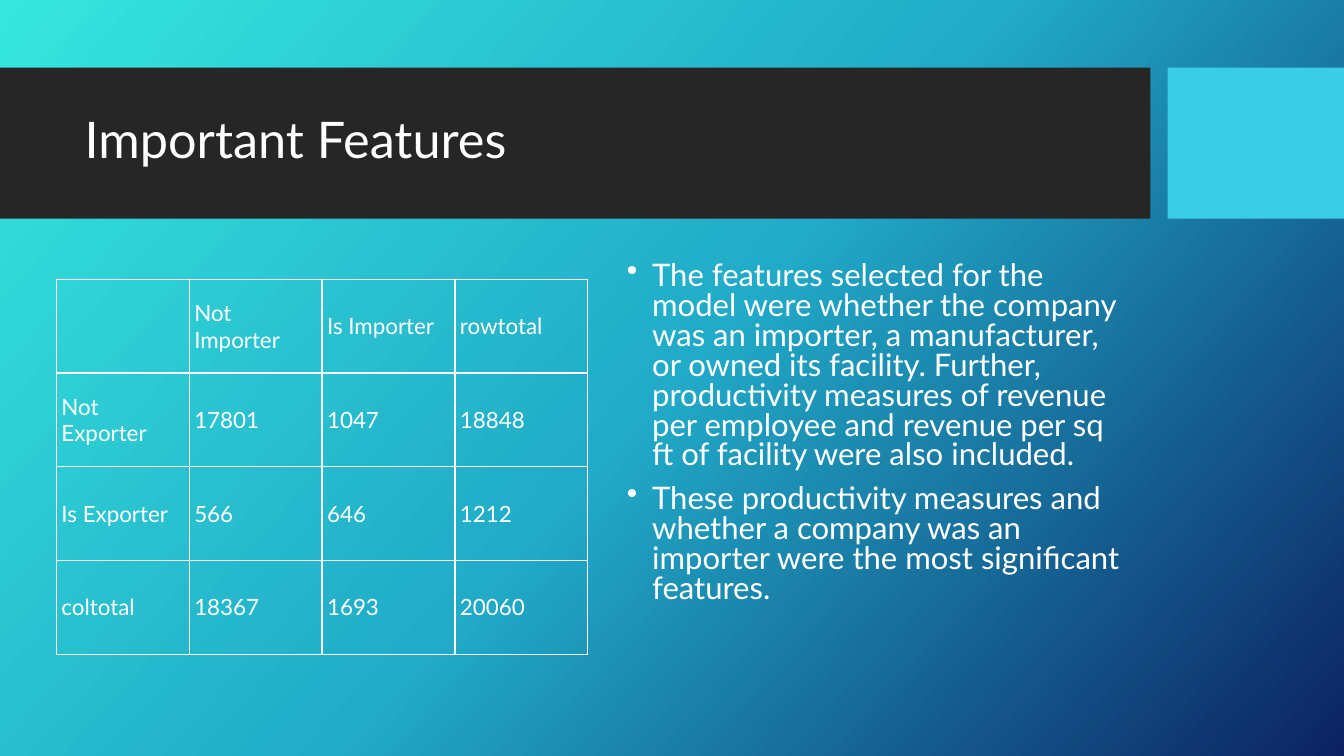
"""Build the Important Features slide with a cross table and two findings."""
import copy

import pptx
import pptx.dml.color
import pptx.enum.shapes
import pptx.enum.text
import pptx.oxml
import pptx.oxml.ns
import pptx.util

Inches = pptx.util.Inches
Pt = pptx.util.Pt
MIDDLE = pptx.enum.text.MSO_ANCHOR.MIDDLE

FONT = "Lato"
COLOURS = {"text": "FFFFFF", "band": "262626", "accent": "39CDE7"}
BACKGROUND_STOPS = [(0, "36E6DD"), (0.5, "21ABC8"), (1, "0C2263")]
COUNTS = [
    ["", "Not Importer", "Is Importer", "rowtotal"],
    ["Not Exporter", "17801", "1047", "18848"],
    ["Is Exporter", "566", "646", "1212"],
    ["coltotal", "18367", "1693", "20060"],
]
FINDINGS = [
    "The features selected for the model were whether the company was an importer, "
    "a manufacturer, or owned its facility. Further, productivity measures of revenue "
    "per employee and revenue per sq ft of facility were also included.",
    "These productivity measures and whether a company was an importer were the most "
    "significant features.",
]


def rgb(value):
    """Return the colour for a hex string."""
    return pptx.dml.color.RGBColor.from_string(value)


def format_runs(para, size):
    """Give every run of a paragraph the slide's font, colour and a size."""
    for span in para.runs:
        span.font.name = FONT
        span.font.size = Pt(size)
        span.font.color.rgb = rgb(COLOURS["text"])


def paint_background(slide):
    """Fill the background with the three-stop diagonal gradient."""
    fill = slide.background.fill
    fill.gradient()
    fill.gradient_angle = 360 - 42
    stop_list = slide.element.xpath(".//a:gsLst")[0]
    stop_list.append(copy.deepcopy(stop_list[0]))
    for stop, (position, colour) in zip(fill.gradient_stops, BACKGROUND_STOPS):
        stop.position = position
        stop.color.rgb = rgb(colour)


def add_block(slide, left, width, colour):
    """Add one plain rectangle of the header strip."""
    block = slide.shapes.add_shape(
        pptx.enum.shapes.MSO_SHAPE.RECTANGLE,
        Inches(left), Inches(0.67), Inches(width), Inches(1.5))
    block.shadow.inherit = False
    block.fill.solid()
    block.fill.fore_color.rgb = rgb(colour)
    block.line.fill.background()


def set_title(slide, text):
    """Place the title in front of the header strip and format it."""
    title = slide.shapes.title
    title.left, title.top = Inches(0.74), Inches(0.82)
    title.width, title.height = Inches(10.51), Inches(1.18)
    frame = title.text_frame
    frame.text = text
    frame.auto_size = pptx.enum.text.MSO_AUTO_SIZE.NONE
    frame.vertical_anchor = MIDDLE
    para = frame.paragraphs[0]
    para.alignment = pptx.enum.text.PP_ALIGN.LEFT
    para.line_spacing = 0.9
    format_runs(para, 36)
    slide.shapes.element.append(title.element)


def add_borders(cell):
    """Draw a thin line on all four sides of a cell."""
    properties = cell._tc.get_or_add_tcPr()
    for side in "LRTB":
        properties.append(pptx.oxml.parse_xml(
            f'<a:ln{side} {pptx.oxml.ns.nsdecls("a")} w="{Pt(1)}"><a:solidFill>'
            f'<a:srgbClr val="{COLOURS["text"]}"/></a:solidFill></a:ln{side}>'))


def add_count_table(slide, rows):
    """Add the transparent table of importer and exporter counts."""
    table = slide.shapes.add_table(
        len(rows), len(rows[0]),
        Inches(0.56), Inches(2.77), Inches(5.27), Inches(3.72)).table
    table.first_row = False
    table.horz_banding = False
    for row_index, values in enumerate(rows):
        for column_index, value in enumerate(values):
            cell = table.cell(row_index, column_index)
            cell.text = value
            cell.vertical_anchor = MIDDLE
            cell.margin_left = cell.margin_right = Inches(0.05)
            cell.margin_top = cell.margin_bottom = Inches(0.02)
            format_runs(cell.text_frame.paragraphs[0], 16)
            add_borders(cell)
            cell.fill.background()


def add_bullet(para):
    """Give a paragraph a hanging round bullet."""
    properties = para._p.get_or_add_pPr()
    properties.set("marL", str(Inches(0.25)))
    properties.set("indent", str(-Inches(0.25)))
    properties.append(pptx.oxml.parse_xml(
        f'<a:buChar {pptx.oxml.ns.nsdecls("a")} char="\u2022"/>'))


def add_findings(slide, findings):
    """Add the bulleted text beside the table."""
    box = slide.shapes.add_textbox(
        Inches(6.12), Inches(2.56), Inches(5.14), Inches(3.94))
    frame = box.text_frame
    frame.word_wrap = True
    frame.text = "\n".join(findings)
    for para in frame.paragraphs:
        para.line_spacing = 0.8
        para.space_before = Pt(10)
        add_bullet(para)
        format_runs(para, 22.2)


def main():
    """Build the slide and save the deck."""
    deck = pptx.Presentation()
    deck.slide_width = Inches(13.33)
    deck.slide_height = Inches(7.5)
    slide = deck.slides.add_slide(deck.slide_layouts[5])
    paint_background(slide)
    add_block(slide, 0, 11.41, COLOURS["band"])
    add_block(slide, 11.58, 1.75, COLOURS["accent"])
    set_title(slide, "Important Features")
    add_count_table(slide, COUNTS)
    add_findings(slide, FINDINGS)
    deck.save("out.pptx")


main()
